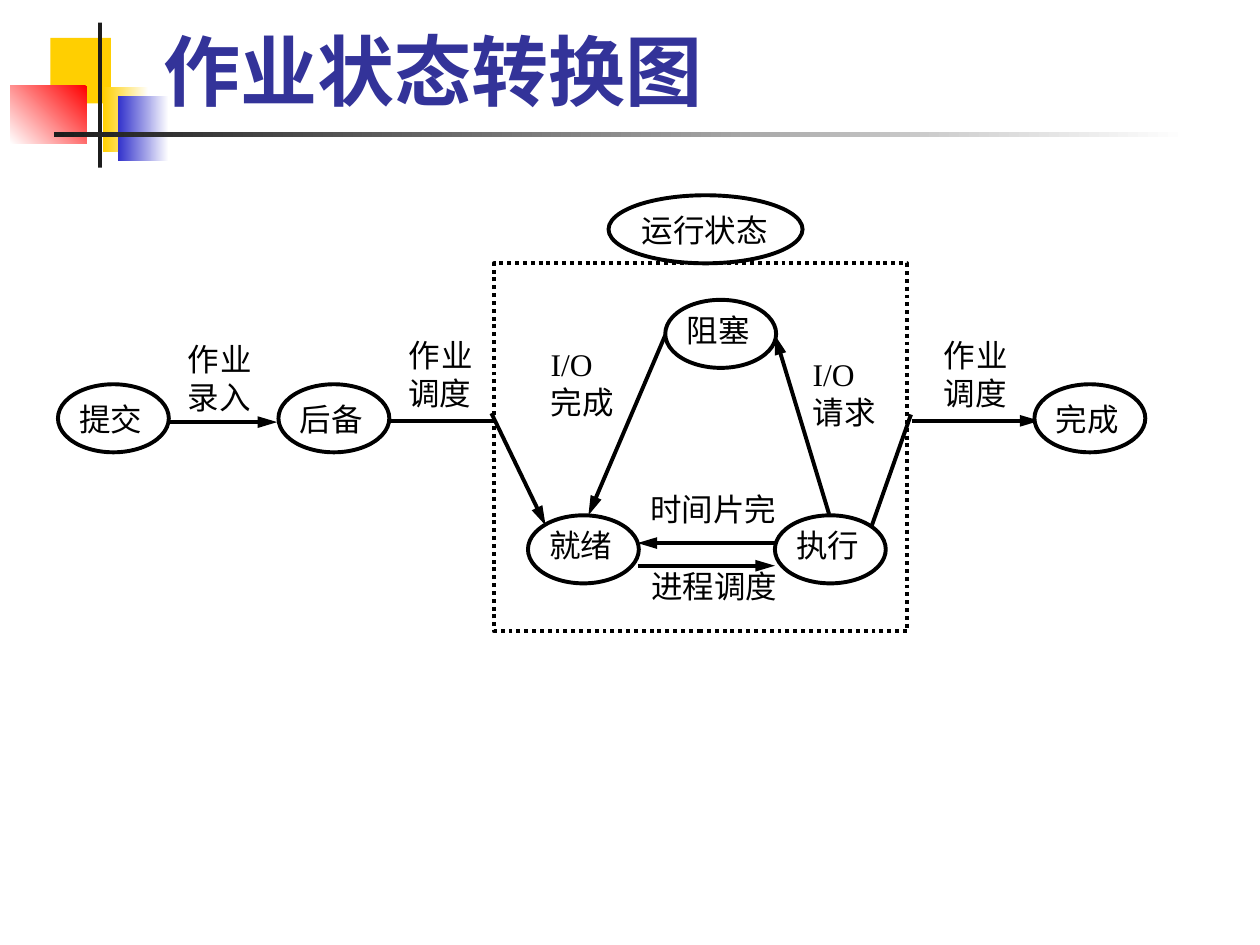
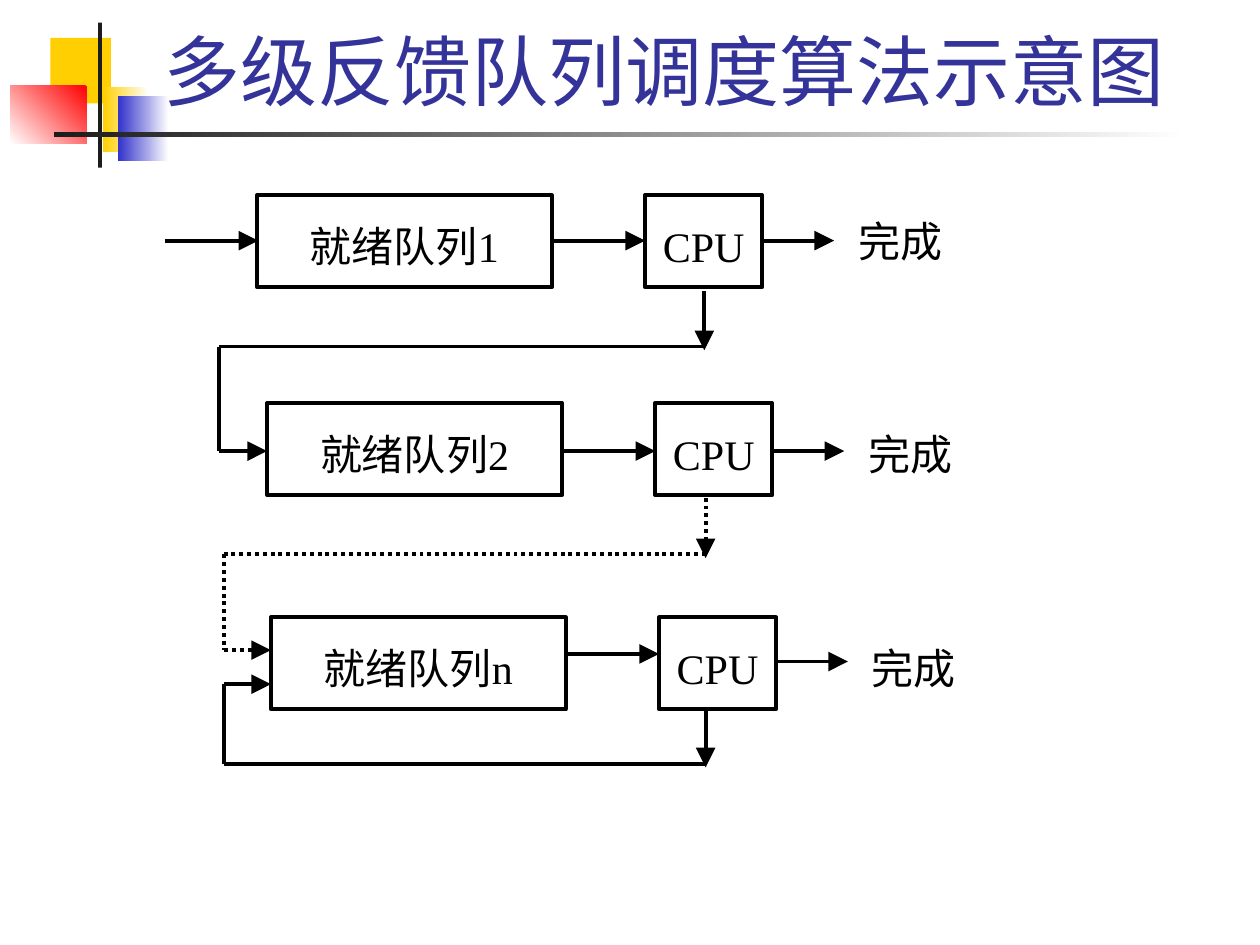
from lxml import etree
from pptx import Presentation
from pptx.dml.color import RGBColor
from pptx.enum.dml import MSO_LINE
from pptx.enum.shapes import MSO_CONNECTOR, MSO_SHAPE
from pptx.enum.text import MSO_ANCHOR, PP_ALIGN
from pptx.oxml.ns import qn
from pptx.util import Inches, Pt

RECT, OVAL = MSO_SHAPE.RECTANGLE, MSO_SHAPE.OVAL
STRAIGHT = MSO_CONNECTOR.STRAIGHT
DOTTED = MSO_LINE.ROUND_DOT  # written to the file as sysDot
TOP, BOTTOM = MSO_ANCHOR.TOP, MSO_ANCHOR.BOTTOM
LEFT, CENTER, JUSTIFY = PP_ALIGN.LEFT, PP_ALIGN.CENTER, PP_ALIGN.JUSTIFY

COLORS = {name: RGBColor.from_string(value) for name, value in {
    "ink": "000000", "white": "FFFFFF", "title": "333399", "yellow": "FFCF01",
    "blue": "3333CC", "red": "FF0000", "rule": "1C1C1C"}.items()}
LINE_WIDTH = Pt(2.25)

TITLE_STYLE = {"font": {"name": "Lato", "size": Pt(44)}, "color": "title",
               "align": LEFT, "anchor": BOTTOM, "insets": (0.1, 0.05, 0.1, 0.05)}
BODY_STYLE = {"font": {"name": "Times New Roman", "size": Pt(18)}, "color": "ink",
              "align": JUSTIFY, "anchor": TOP, "insets": (0, 0, 0, 0)}
INNER_STATE = BODY_STYLE | {"insets": (0.04, 0.01, 0.02, 0.01)}
OUTER_STATE = BODY_STYLE | {"insets": (0.04, 0.05, 0.02, 0.05)}
RESULT_STYLE = BODY_STYLE | {"font": {"name": "Times New Roman", "size": Pt(24)},
                             "insets": (0.02, 0.2, 0.02, 0.01)}
QUEUE_STYLE = RESULT_STYLE | {"align": CENTER}


def add_box(slide, box, text="", style=BODY_STYLE, outline=None):
    """Add a text box, or a white outlined shape when outline names a preset."""
    box = [Inches(v) for v in box]
    if outline is None:
        part = slide.shapes.add_textbox(*box)
    else:
        part = slide.shapes.add_shape(outline, *box)
        part.shadow.inherit = False
        part.fill.solid()
        part.fill.fore_color.rgb = COLORS["white"]
        part.line.color.rgb = COLORS["ink"]
        part.line.width = LINE_WIDTH
    frame = part.text_frame
    frame.word_wrap = True
    frame.vertical_anchor = style["anchor"]
    for side, inset in zip(("left", "top", "right", "bottom"), style["insets"]):
        setattr(frame, f"margin_{side}", Inches(inset))
    if text:
        paragraph = frame.paragraphs[0]
        paragraph.alignment = style["align"]
        run = paragraph.add_run()
        run.text = text
        for attribute, value in style["font"].items():
            setattr(run.font, attribute, value)
        run.font.color.rgb = COLORS[style["color"]]
    return part


def add_line(slide, points, head_width=None, dotted=False):
    """Draw a line; a head_width of "med" or "lg" gives it an arrowhead."""
    connector = slide.shapes.add_connector(STRAIGHT, *[Inches(v) for v in points])
    connector.line.color.rgb = COLORS["ink"]
    connector.line.width = LINE_WIDTH
    if dotted:
        connector.line.dash_style = DOTTED
    properties = connector._element.spPr
    if head_width:
        etree.SubElement(properties.find(qn("a:ln")), qn("a:tailEnd"),
                         type="triangle", w=head_width, len="lg")
    etree.SubElement(properties, qn("a:effectLst"))


prs = Presentation()
prs.slide_width, prs.slide_height = Inches(10), Inches(7.5)

# Shared decoration and title: box, gradient colours, angle (counter-clockwise)
DECORATION = [
    ((0.4, 0.3, 0.48, 0.52), ("yellow",), 0),
    ((0.82, 0.69, 0.36, 0.52), ("white", "yellow"), 180),
    ((0.94, 0.76, 0.4, 0.52), ("white", "blue"), 180),
    ((0.08, 0.68, 0.61, 0.46), ("red", "white"), 225),
    ((0.78, 0.18, 0.03, 1.15), ("rule",), 0),
    ((0.43, 1.05, 9, 0.04), ("white", "rule"), 180),
]
slides = []
for title, bold in (("作业状态转换图", True), ("多级反馈队列调度算法示意图", False)):
    slide = prs.slides.add_slide(prs.slide_layouts[6])
    for box, colors, angle in DECORATION:
        block = slide.shapes.add_shape(RECT, *[Inches(v) for v in box])
        block.shadow.inherit = False
        block.line.fill.background()
        if len(colors) == 1:
            block.fill.solid()
            block.fill.fore_color.rgb = COLORS[colors[0]]
        else:
            block.fill.gradient()
            block.fill.gradient_angle = angle
            for stop, color in zip(block.fill.gradient_stops, colors):
                stop.color.rgb = COLORS[color]
    style = TITLE_STYLE | {"font": TITLE_STYLE["font"] | {"bold": bold}}
    add_box(slide, (1.2, 0.17, 8.52, 0.8), title, style)
    slides.append(slide)
states_slide, queues_slide = slides

# Slide 1: job states
running_frame = add_box(states_slide, (3.92, 2.09, 3.28, 2.92), outline=RECT)
running_frame.line.dash_style = DOTTED

for transition in [
    (1.32, 3.35, 2.2, 3.35),    # submitted to standby
    (3.9, 3.28, 4.33, 4.17),    # into ready
    (6.15, 4.31, 5.06, 4.31),   # executing to ready
    (5.06, 4.49, 6.15, 4.49),   # ready to executing
    (6.58, 4.08, 6.15, 2.66),   # executing to blocked
    (5.28, 2.66, 4.67, 4.09),   # blocked to ready
    (7.24, 3.34, 8.25, 3.34),   # out to finished
]:
    add_line(states_slide, transition, "med")
for link in [(3.05, 3.34, 3.92, 3.34), (6.92, 4.17, 7.23, 3.29)]:
    add_line(states_slide, link)

for name, left, top, width, style in [
    ("阻塞", 5.28, 2.38, 0.88, INNER_STATE),
    ("就绪", 4.19, 4.09, 0.88, INNER_STATE),
    ("执行", 6.15, 4.09, 0.88, INNER_STATE),
    ("提交", 0.46, 3.05, 0.88, OUTER_STATE),
    ("后备", 2.21, 3.05, 0.88, OUTER_STATE),
    ("完成", 8.21, 3.05, 0.88, OUTER_STATE),
    ("运行状态", 4.83, 1.55, 1.54, OUTER_STATE),
]:
    add_box(states_slide, (left, top, width, 0.54), name, style, OVAL)

for event, box in [
    ("I/O请求", (6.45, 2.82, 0.55, 0.51)),
    ("I/O完成", (4.37, 2.74, 0.55, 0.51)),
    ("作业录入", (1.49, 2.7, 0.51, 0.55)),
    ("作业调度", (3.24, 2.67, 0.51, 0.55)),
    ("作业调度", (7.49, 2.67, 0.51, 0.55)),
    ("时间片完", (5.16, 3.89, 1.06, 0.33)),
    ("进程调度", (5.17, 4.5, 1.06, 0.33)),
]:
    add_box(states_slide, box, event)

# Slide 2: one row per ready queue
QUEUE_WIDTH, CPU_WIDTH, ROW_HEIGHT = 2.34, 0.93, 0.73
CPU_OFFSET, RESULT_OFFSET = 3.08, 4.75
for level, left, top, result_top, cpu_y, result_y in [
    ("1", 2.04, 1.55, 1.51, 1.91, 1.91),
    ("2", 2.12, 3.2, 3.2, 3.58, 3.58),
    ("n", 2.15, 4.9, 4.9, 5.19, 5.25),
]:
    cpu_left = left + CPU_OFFSET
    cpu_right = cpu_left + CPU_WIDTH
    add_box(queues_slide, (left, top, QUEUE_WIDTH, ROW_HEIGHT),
            f"就绪队列{level}", QUEUE_STYLE, RECT)
    add_box(queues_slide, (cpu_left, top, CPU_WIDTH, ROW_HEIGHT),
            "CPU", QUEUE_STYLE, RECT)
    add_box(queues_slide, (left + RESULT_OFFSET, result_top, 0.76, 0.64),
            "完成", RESULT_STYLE)
    add_line(queues_slide, (left + QUEUE_WIDTH, cpu_y, cpu_left, cpu_y), "lg")
    add_line(queues_slide, (cpu_right, result_y, cpu_right + 0.57, result_y), "lg")

add_line(queues_slide, (1.31, 1.91, 2.05, 1.91), "lg")

# Return paths: down from a CPU, across, along the left side, into a queue
for cpu_x, cpu_bottom, return_y, side_x, entry_y, queue_left, dotted in [
    (5.59, 2.31, 2.75, 1.74, 3.58, 2.12, False),
    (5.6, 3.95, 4.4, 1.78, 5.16, 2.15, True),
    (5.6, 5.61, 6.06, 1.78, 5.43, 2.15, False),
]:
    add_line(queues_slide, (cpu_x, cpu_bottom, cpu_x, return_y + 0.03), "lg", dotted)
    add_line(queues_slide, (cpu_x, return_y, side_x, return_y), dotted=dotted)
    add_line(queues_slide, (side_x, return_y, side_x, entry_y), dotted=dotted)
    add_line(queues_slide, (side_x, entry_y, queue_left, entry_y), "lg", dotted)

prs.save("out.pptx")
